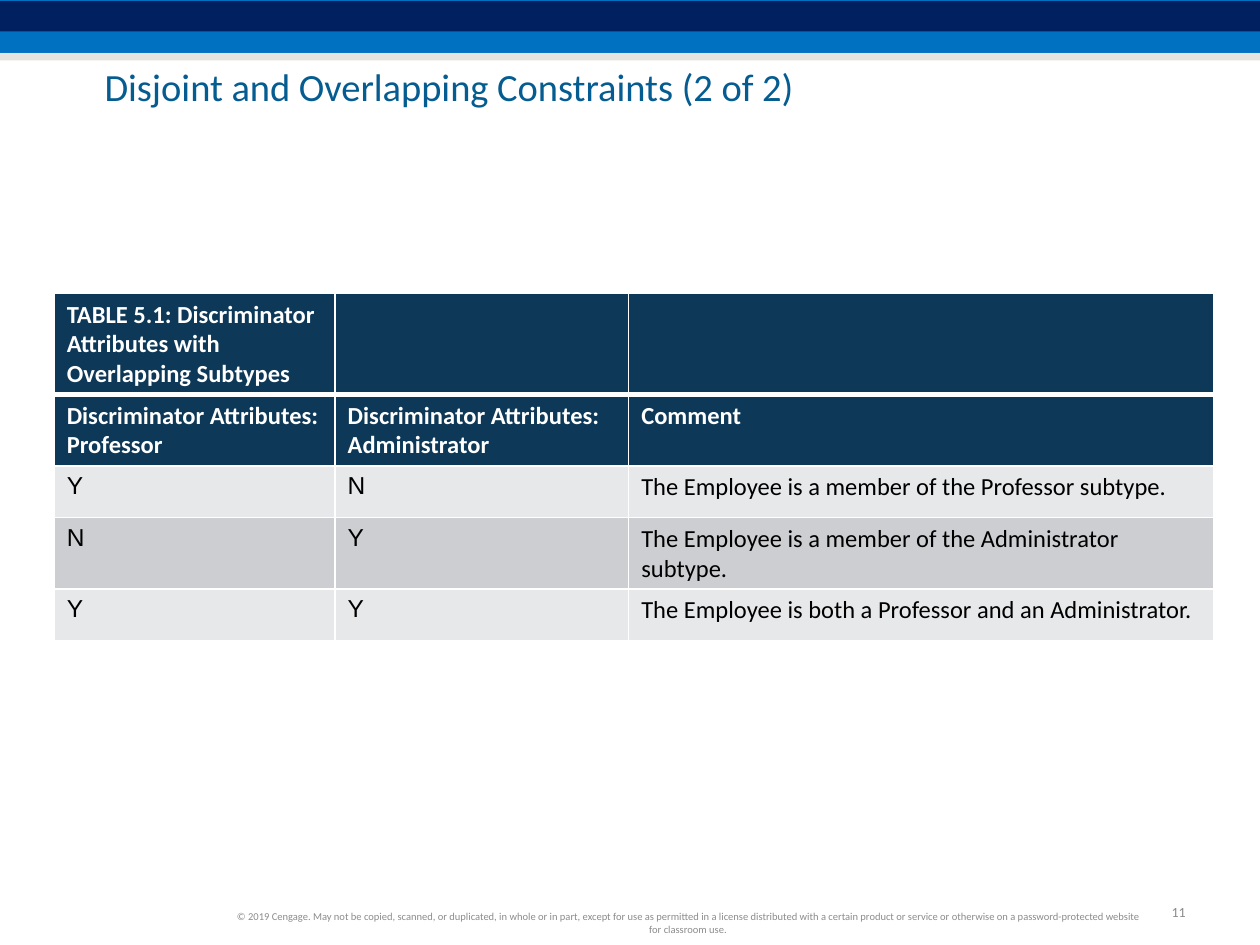
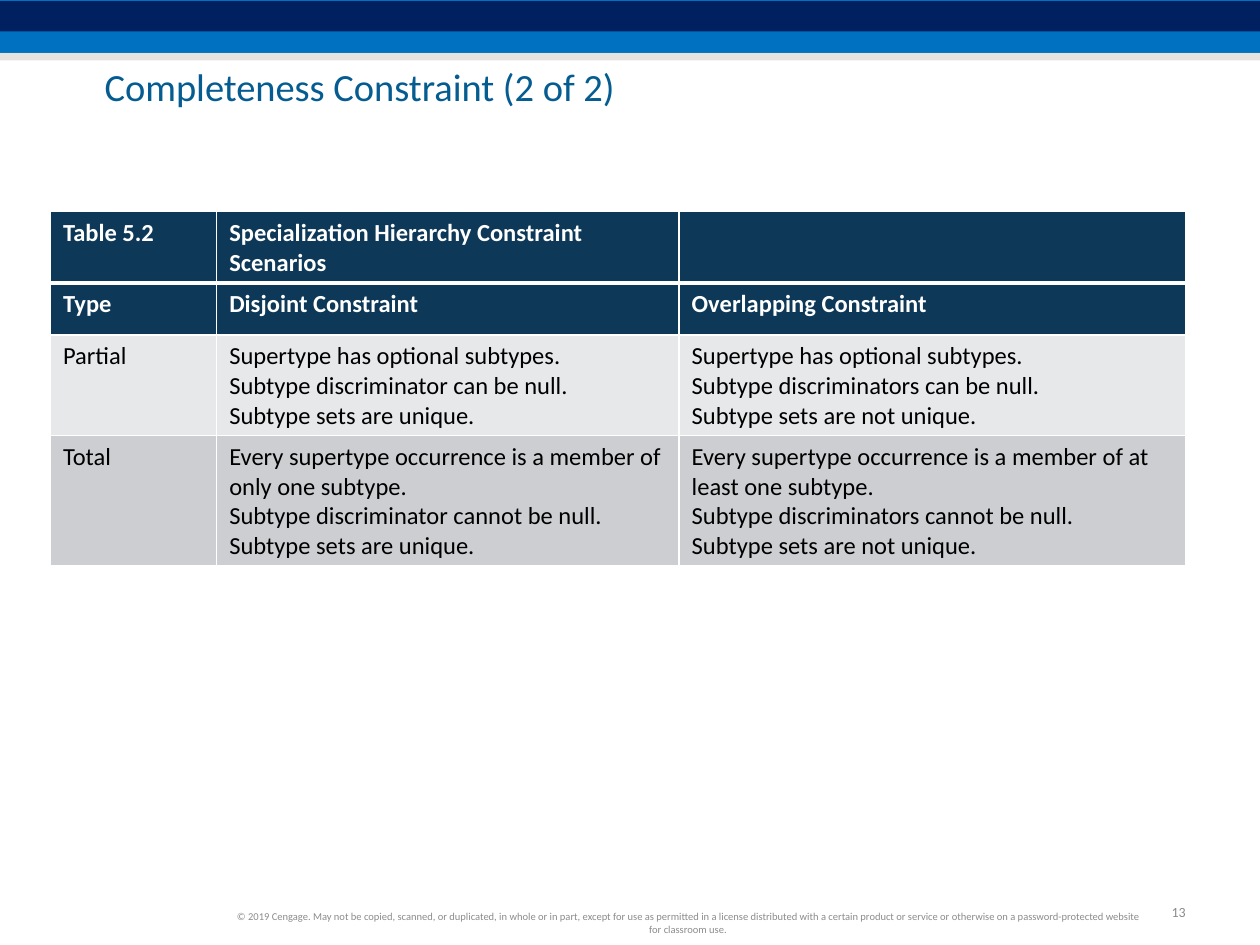
import pptx
import pptx.util
import pptx.dml.color
import pptx.enum.shapes
import pptx.enum.text
import pptx.oxml
import pptx.oxml.ns

Inches = pptx.util.Inches
Pt = pptx.util.Pt
RGBColor = pptx.dml.color.RGBColor
Align = pptx.enum.text.PP_ALIGN
Anchor = pptx.enum.text.MSO_ANCHOR
AutoSize = pptx.enum.text.MSO_AUTO_SIZE

PAGES = [
    {
        "title": "Disjoint and Overlapping Constraints (2 of 2)",
        "number": "11",
        "left": 0.43,
        "top": 2.33,
        "columns": [2.23, 2.33, 4.64],
        "rows": [
            ["TABLE 5.1: Discriminator Attributes with Overlapping Subtypes", "", ""],
            ["Discriminator Attributes: Professor",
             "Discriminator Attributes: Administrator", "Comment"],
            ["Y", "N", "The Employee is a member of the Professor subtype."],
            ["N", "Y", "The Employee is a member of the Administrator subtype."],
            ["Y", "Y", "The Employee is both a Professor and an Administrator."],
        ],
    },
    {
        "title": "Completeness Constraint (2 of 2)",
        "number": "13",
        "left": 0.4,
        "top": 1.68,
        "columns": [1.32, 3.67, 4.02],
        "rows": [
            ["Table 5.2", "Specialization Hierarchy Constraint Scenarios", ""],
            ["Type", "Disjoint Constraint", "Overlapping Constraint"],
            ["Partial",
             "Supertype has optional subtypes.\n"
             "Subtype discriminator can be null.\n"
             "Subtype sets are unique.",
             "Supertype has optional subtypes.\n"
             "Subtype discriminators can be null.\n"
             "Subtype sets are not unique."],
            ["Total",
             "Every supertype occurrence is a member of only one subtype.\n"
             "Subtype discriminator cannot be null.\n"
             "Subtype sets are unique.",
             "Every supertype occurrence is a member of at\n"
             "least one subtype.\n"
             "Subtype discriminators cannot be null.\n"
             "Subtype sets are not unique."],
        ],
    },
]
COPYRIGHT = (
    "© 2019 Cengage. May not be copied, scanned, or duplicated, in whole or in part, "
    "except for use as permitted in a license distributed with a certain product or "
    "service or otherwise on a password-protected website for classroom use."
)

WHITE = RGBColor(0xFF, 0xFF, 0xFF)
BLACK = RGBColor(0x00, 0x00, 0x00)
BLUE = RGBColor(0x00, 0x70, 0xC0)
NAVY = RGBColor(0x00, 0x20, 0x60)
SAND = RGBColor(0xCC, 0xC9, 0xC1)
TITLE_BLUE = RGBColor(0x05, 0x5C, 0x91)
FOOTER_GREY = RGBColor(0x8C, 0x8C, 0x8C)
HEADER_FILL = RGBColor(0x0D, 0x38, 0x57)
BODY_FILLS = [RGBColor(0xE7, 0xE8, 0xEA), RGBColor(0xCC, 0xCE, 0xD1)]

BANDS = [(0, 0.42, BLUE, 100), (0.01, 0.24, NAVY, 100), (0.42, 0.06, SAND, 50)]
HEADER_ROWS = 2
ROW_HEIGHT = 0.41


def add_run(para, text, size, color, font="Calibri", bold=False):
    span = para.add_run()
    span.text = text
    span.font.name = font
    span.font.size = Pt(size)
    span.font.bold = bold
    span.font.color.rgb = color


def add_bands(page):
    for top, height, color, opacity in BANDS:
        band = page.shapes.add_shape(
            pptx.enum.shapes.MSO_SHAPE.RECTANGLE,
            0, Inches(top), Inches(10), Inches(height))
        band.shadow.inherit = False
        band.line.fill.background()
        band.fill.solid()
        band.fill.fore_color.rgb = color
        if opacity < 100:
            tint = band.fill._xPr.find(".//" + pptx.oxml.ns.qn("a:srgbClr"))
            alpha = pptx.oxml.parse_xml(
                f'<a:alpha {pptx.oxml.ns.nsdecls("a")} val="{opacity * 1000}"/>')
            tint.append(alpha)


def set_title(page, text):
    title = page.shapes.title
    title.left, title.top = Inches(0.83), Inches(0.56)
    title.width, title.height = Inches(8.78), Inches(0.31)
    frame = title.text_frame
    frame.margin_left = frame.margin_right = frame.margin_top = frame.margin_bottom = 0
    frame.word_wrap = True
    frame.auto_size = AutoSize.SHAPE_TO_FIT_TEXT
    frame.vertical_anchor = Anchor.MIDDLE
    para = frame.paragraphs[0]
    para.alignment = Align.LEFT
    para.line_spacing = 0.85
    add_run(para, text, 22, TITLE_BLUE)


def add_footer_text(page, text, place, size, align, wrap):
    box = page.shapes.add_textbox(*map(Inches, place))
    frame = box.text_frame
    frame.word_wrap = wrap
    frame.auto_size = AutoSize.NONE if wrap else AutoSize.SHAPE_TO_FIT_TEXT
    frame.vertical_anchor = Anchor.MIDDLE
    para = frame.paragraphs[0]
    para.alignment = align
    add_run(para, text, size, FOOTER_GREY)


def set_borders(cell, row):
    widths = {"L": 1, "R": 1, "T": 3 if row == 1 else 1, "B": 3 if row == 0 else 1}
    for side, width in widths.items():
        cell._tc.get_or_add_tcPr().append(pptx.oxml.parse_xml(
            f'<a:ln{side} {pptx.oxml.ns.nsdecls("a")} w="{Pt(width)}">'
            f'<a:solidFill><a:srgbClr val="{WHITE}"/></a:solidFill></a:ln{side}>'))


def fill_cell(cell, row, text):
    header = row < HEADER_ROWS
    set_borders(cell, row)
    cell.fill.solid()
    cell.fill.fore_color.rgb = HEADER_FILL if header else BODY_FILLS[row % 2]
    if not text:
        return
    font = "Arial" if text in ("Y", "N") else "Calibri"
    frame = cell.text_frame
    for index, line in enumerate(text.split("\n")):
        para = frame.add_paragraph() if index else frame.paragraphs[0]
        add_run(para, line, 14, WHITE if header else BLACK, font, header)


def add_constraint_table(page, content):
    rows, columns = content["rows"], content["columns"]
    table = page.shapes.add_table(
        len(rows), len(columns), Inches(content["left"]), Inches(content["top"]),
        Inches(sum(columns)), Inches(ROW_HEIGHT * len(rows))).table
    for column, width in zip(table.columns, columns):
        column.width = Inches(width)
    for row, texts in enumerate(rows):
        for column, text in enumerate(texts):
            fill_cell(table.cell(row, column), row, text)


def main():
    deck = pptx.Presentation()
    deck.slide_width, deck.slide_height = Inches(10), Inches(7.5)
    for content in PAGES:
        page = deck.slides.add_slide(deck.slide_layouts[5])
        add_footer_text(page, content["number"], (9.17, 7.12, 0.34, 0.24),
                        8, Align.RIGHT, False)
        add_bands(page)
        set_title(page, content["title"])
        add_constraint_table(page, content)
        add_footer_text(page, COPYRIGHT, (1.75, 7.19, 7.42, 0.27),
                        6, Align.CENTER, True)
    deck.save("out.pptx")


if __name__ == "__main__":
    main()
